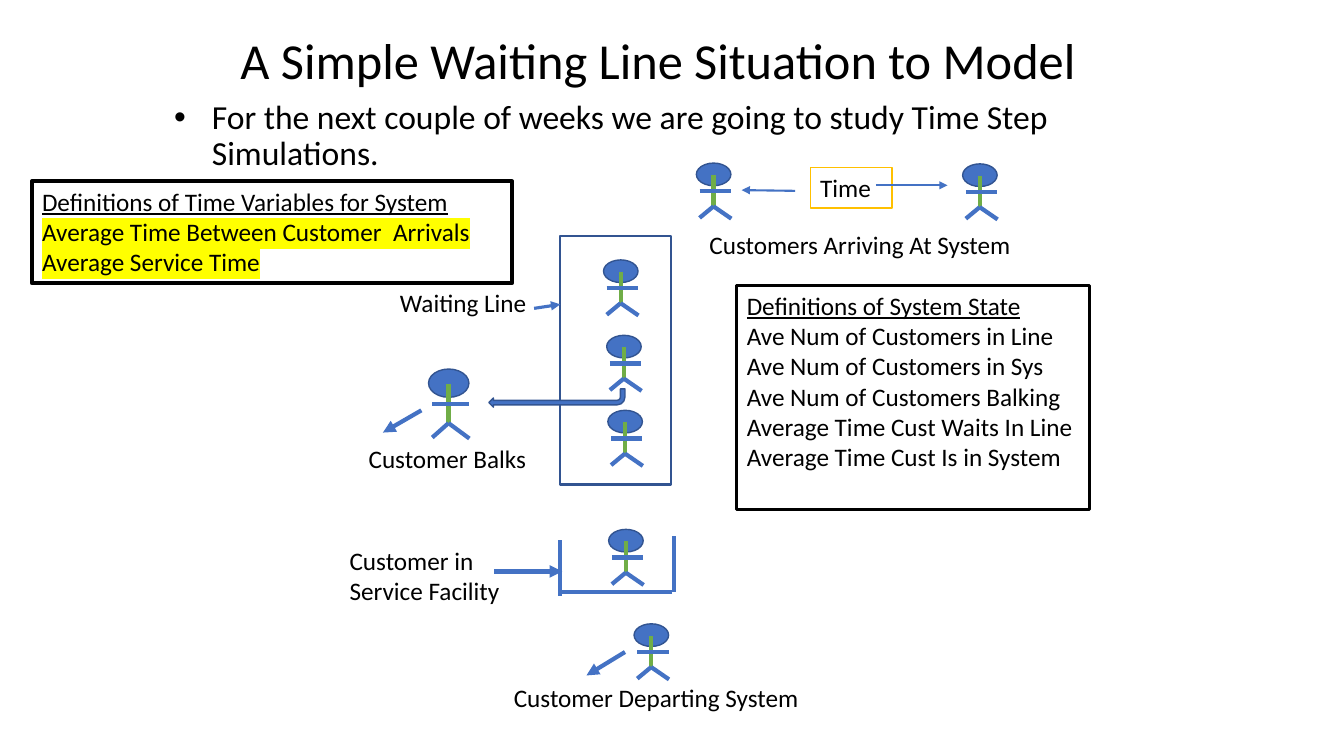
from dataclasses import dataclass

from lxml.etree import SubElement
from pptx import Presentation
from pptx.dml.color import RGBColor
from pptx.enum.shapes import MSO_CONNECTOR, MSO_SHAPE
from pptx.enum.text import MSO_ANCHOR, PP_ALIGN
from pptx.oxml.ns import qn
from pptx.util import Cm, Pt

BLUE = RGBColor(0x44, 0x72, 0xC4)
DARK_BLUE = RGBColor(0x32, 0x54, 0x91)
GREEN = RGBColor(0x70, 0xAD, 0x47)
GOLD = RGBColor(0xFF, 0xC0, 0x00)
YELLOW = RGBColor(0xFF, 0xFF, 0x00)
BLACK = RGBColor(0, 0, 0)
WHITE = RGBColor(0xFF, 0xFF, 0xFF)
FONT = "Calibri"


@dataclass
class Line:
    x1: float
    y1: float
    x2: float
    y2: float
    width: float = 3
    arrow: bool = False
    color: RGBColor = BLUE


@dataclass
class Customer:
    left: float
    top: float
    scale_x: float = 1
    scale_y: float = 1


@dataclass
class TextBox:
    left: float
    top: float
    width: float
    height: float
    lines: list[str]
    size: float = 18
    border: RGBColor | None = None
    border_width: float = 1
    fill: RGBColor | None = None
    heading: bool = False
    highlight: RGBColor | None = None


def draw_line(shapes, line: Line) -> None:
    connector = shapes.add_connector(
        MSO_CONNECTOR.STRAIGHT, Cm(line.x1), Cm(line.y1), Cm(line.x2), Cm(line.y2))
    connector.line.color.rgb = line.color
    connector.line.width = Pt(line.width)
    if line.arrow:
        SubElement(connector.line._get_or_add_ln(), qn("a:tailEnd"), type="triangle")
    SubElement(connector._element.spPr, qn("a:effectLst"))


def draw_shape(shapes, kind, left: float, top: float, width: float, height: float,
               line_width: float = 1, filled: bool = True):
    shape = shapes.add_shape(kind, Cm(left), Cm(top), Cm(width), Cm(height))
    shape.shadow.inherit = False
    if filled:
        shape.fill.solid()
        shape.fill.fore_color.rgb = BLUE
    else:
        shape.fill.background()
    shape.line.color.rgb = DARK_BLUE
    shape.line.width = Pt(line_width)
    return shape


# Limbs of a stick figure, measured from its top left corner
LIMBS = [
    Line(0.43, 0.3, 0.43, 1.11, color=GREEN),
    Line(0.43, 1.09, 0.88, 1.4),
    Line(0.43, 1.09, 0.08, 1.38),
    Line(0.08, 0.71, 0.87, 0.71),
]


def draw_customer(shapes, customer: Customer) -> None:
    group = shapes.add_group_shape()
    draw_shape(group.shapes, MSO_SHAPE.OVAL, customer.left, customer.top,
               0.87 * customer.scale_x, 0.57 * customer.scale_y)
    for limb in LIMBS:
        draw_line(group.shapes, Line(
            customer.left + limb.x1 * customer.scale_x,
            customer.top + limb.y1 * customer.scale_y,
            customer.left + limb.x2 * customer.scale_x,
            customer.top + limb.y2 * customer.scale_y,
            color=limb.color))


def draw_text(shapes, box: TextBox):
    shape = shapes.add_textbox(Cm(box.left), Cm(box.top), Cm(box.width), Cm(box.height))
    if box.fill is not None:
        shape.fill.solid()
        shape.fill.fore_color.rgb = box.fill
    if box.border is not None:
        shape.line.color.rgb = box.border
        shape.line.width = Pt(box.border_width)
    text_frame = shape.text_frame
    text_frame.word_wrap = True
    text_frame.text = "\n".join(box.lines)
    for index, paragraph in enumerate(text_frame.paragraphs):
        is_heading = box.heading and index == 0
        for run in paragraph.runs:
            run.font.name = FONT
            run.font.size = Pt(box.size)
            run.font.color.rgb = BLACK
            if is_heading:
                run.font.underline = True
            elif box.highlight is not None:
                properties = run.font._element
                highlight = SubElement(properties, qn("a:highlight"))
                SubElement(highlight, qn("a:srgbClr"), val=str(box.highlight))
                properties.find(qn("a:solidFill")).addnext(highlight)
    return shape


presentation = Presentation()
presentation.slide_width = Cm(33.87)
presentation.slide_height = Cm(19.05)
slide = presentation.slides.add_slide(presentation.slide_layouts[6])
shapes = slide.shapes

# Title
title = draw_text(shapes, TextBox(
    3.89, 0.56, 25.4, 1.85, ["A Simple Waiting Line Situation to Model"], size=36))
title.text_frame.vertical_anchor = MSO_ANCHOR.BOTTOM
title.text_frame.paragraphs[0].alignment = PP_ALIGN.CENTER
title.text_frame.paragraphs[0].line_spacing = 0.9

# Introductory bullet
introduction = draw_text(shapes, TextBox(
    4.14, 2.41, 26.37, 15.06,
    ["For the next couple of weeks we are going to study Time Step Simulations."], size=24))
paragraph = introduction.text_frame.paragraphs[0]
paragraph.line_spacing = 0.9
paragraph.space_before = Pt(10)
bullet_properties = paragraph._p.get_or_add_pPr()
bullet_properties.set("marL", str(Cm(0.95)))
bullet_properties.set("indent", str(-Cm(0.95)))
SubElement(bullet_properties, qn("a:buFont"), typeface="Arial")
SubElement(bullet_properties, qn("a:buChar"), char="•")

# Customers
CUSTOMERS = [
    Customer(17.55, 4.11), Customer(24.26, 4.13),  # arriving
    Customer(15.21, 6.55), Customer(15.29, 8.45), Customer(15.32, 10.34),  # waiting
    Customer(10.8, 9.3, 1.17, 1.25),  # balking
    Customer(15.34, 13.34),  # in service
    Customer(15.98, 15.72),  # departing
]
for customer in CUSTOMERS:
    draw_customer(shapes, customer)

# Waiting line frame and the way out of it
draw_shape(shapes, MSO_SHAPE.RECTANGLE, 14.12, 5.94, 2.79, 6.27, 1.5, filled=False)
balking_arrow = draw_shape(shapes, MSO_SHAPE.BENT_ARROW, 12.32, 9.8, 3.43, 0.46)
balking_arrow.rotation = 180

# Labels and definitions
TEXT_BOXES = [
    TextBox(9.83, 7.11, 5.79, 1.02, ["Waiting Line"]),
    TextBox(17.63, 5.66, 8.59, 1.02, ["Customers Arriving At System"]),
    TextBox(20.42, 4.22, 2.06, 1.02, ["Time"], border=GOLD, fill=WHITE),
    TextBox(8.56, 13.61, 4.62, 1.8, ["Customer in Service Facility"]),
    TextBox(12.7, 17.07, 9.8, 1.02, ["Customer Departing System"]),
    TextBox(9.04, 11.05, 4.88, 1.02, ["Customer Balks"]),
    TextBox(0.81, 4.57, 12.09, 2.57,
            ["Definitions of Time Variables for System",
             "Average Time Between Customer  Arrivals",
             "Average Service Time"],
            border=BLACK, border_width=3, heading=True, highlight=YELLOW),
    TextBox(18.57, 7.19, 8.89, 5.64,
            ["Definitions of System State",
             "Ave Num of Customers in Line",
             "Ave Num of Customers in Sys",
             "Ave Num of Customers Balking",
             "Average Time Cust Waits In Line",
             "Average Time Cust Is in System"],
            border=BLACK, border_width=2.25, heading=True),
]
for box in TEXT_BOXES:
    draw_text(shapes, box)

# Arrows and the service facility
LINES = [
    Line(13.46, 7.77, 14.12, 7.67, 2.25, arrow=True),  # to the waiting line
    Line(22.07, 4.67, 23.88, 4.67, 1.5, arrow=True),  # time between arrivals
    Line(20.04, 4.81, 18.69, 4.79, 1.5, arrow=True),
    Line(14.12, 13.61, 14.12, 15.01),  # facility walls
    Line(16.94, 14.91, 14.12, 14.91),
    Line(16.99, 13.51, 16.99, 14.91),
    Line(12.45, 14.4, 14.17, 14.4, arrow=True),  # to the facility
    Line(10.62, 10.34, 9.65, 10.9, arrow=True),  # balking
    Line(15.75, 16.43, 14.78, 17.02, arrow=True),  # departing
]
for line in LINES:
    draw_line(shapes, line)

presentation.save("out.pptx")
